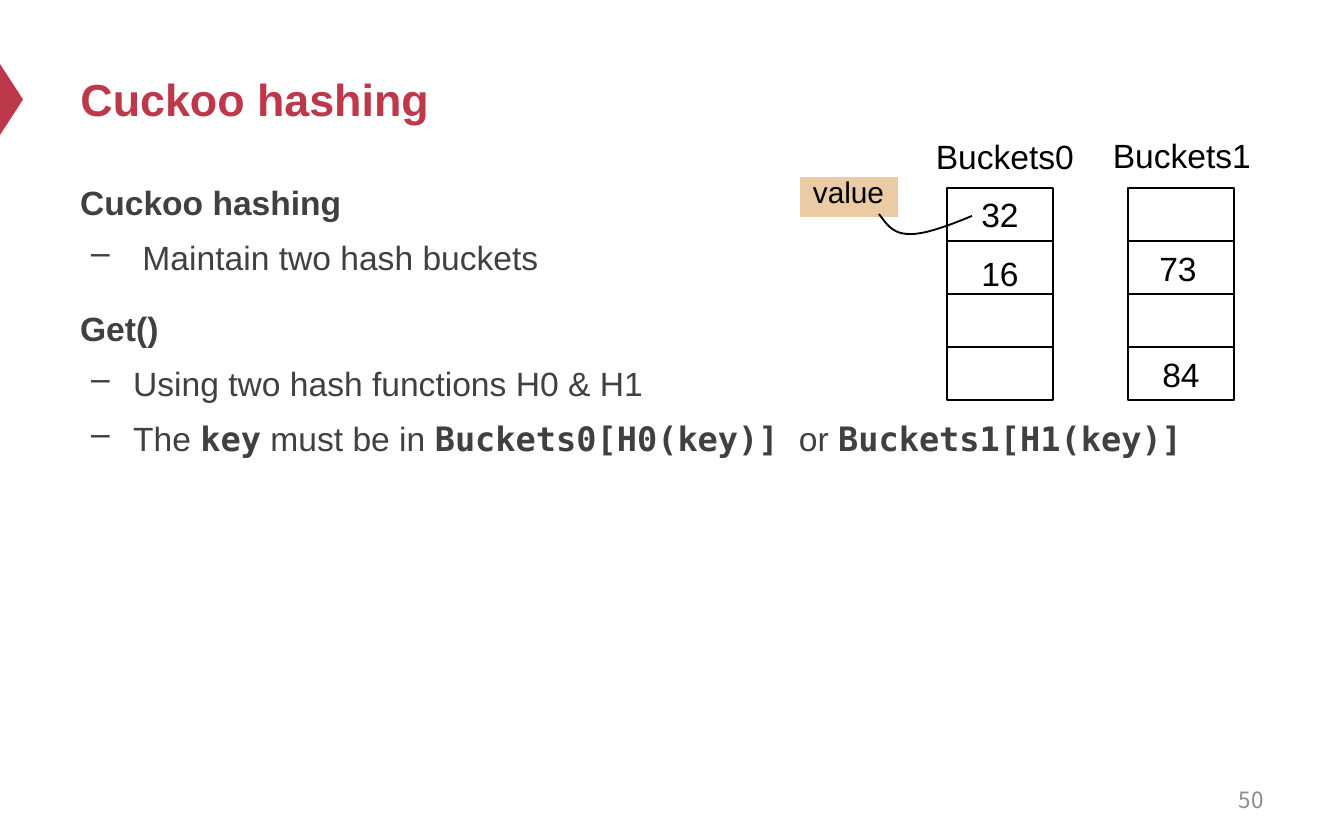
import pptx
import pptx.dml.color
import pptx.enum.shapes
import pptx.enum.text
import pptx.oxml
import pptx.oxml.ns
import pptx.util
from dataclasses import dataclass

Align = pptx.enum.text.PP_ALIGN
Anchor = pptx.enum.text.MSO_ANCHOR
Shape = pptx.enum.shapes.MSO_SHAPE


@dataclass(frozen=True)
class Theme:
    accent: str = "BE384B"
    body: str = "404040"
    ink: str = "000000"
    muted: str = "8C8C8C"
    tag: str = "EACBA3"
    paper: str = "FFFFFF"
    sans: str = "Arial"
    mono: str = "DejaVu Sans Mono"
    number_font: str = "Noto Sans CJK SC"
    title_size: int = 24
    text_size: int = 18
    tag_size: int = 16
    number_size: int = 12


THEME = Theme()
EMU_PER_PX = 914400 / 134.4

# Bucket grid: cell size, top edge and left edge of each column
CELL_WIDTH, CELL_HEIGHT, GRID_TOP = 106, 53, 188
COLUMNS = (947, 1128)
ROWS = 4

# Stored numbers: column, row, text, offset of the label from its cell
ENTRIES = [
    (0, 0, "32", 21, -1),
    (0, 1, "16", 21, 5),
    (1, 1, "73", 18, 0),
    (1, 3, "84", 21, 0),
]

# Body: is a bullet, then the text pieces with True for code
BODY = [
    (False, [("Cuckoo hashing", False)]),
    (True, [(" Maintain two hash buckets", False)]),
    (False, [("Get()", False)]),
    (True, [("Using two hash functions H0 & H1", False)]),
    (True, [("The ", False), ("key", True), (" must be in ", False),
            ("Buckets0[H0(key)] ", True), ("or ", False),
            ("Buckets1[H1(key)]", True)]),
]


def px(value):
    return pptx.util.Emu(round(value * EMU_PER_PX))


def color(value):
    return pptx.dml.color.RGBColor.from_string(value)


def add_span(para, text, size=THEME.text_size, font=THEME.sans,
             ink=THEME.ink, bold=False):
    span = para.add_run()
    span.text = text
    span.font.size = pptx.util.Pt(size)
    span.font.name = font
    span.font.bold = bold
    span.font.color.rgb = color(ink)


def add_label(page, text, left, top, width, height, align=Align.CENTER,
              anchor=Anchor.TOP, **style):
    box = page.shapes.add_textbox(px(left), px(top), px(width), px(height))
    frame = box.text_frame
    frame.word_wrap = False
    frame.vertical_anchor = anchor
    para = frame.paragraphs[0]
    para.alignment = align
    add_span(para, text, **style)


def paint(shape, fill=None, line=None, weight=1):
    shape.shadow.inherit = False
    if fill:
        shape.fill.solid()
        shape.fill.fore_color.rgb = color(fill)
    else:
        shape.fill.background()
    if line:
        shape.line.color.rgb = color(line)
        shape.line.width = pptx.util.Pt(weight)
    else:
        shape.line.fill.background()


def add_block(page, kind, left, top, width, height, **style):
    block = page.shapes.add_shape(kind, px(left), px(top), px(width), px(height))
    paint(block, **style)
    return block


def add_curve(page, start, segments, steps=16):
    points = []
    origin = start
    for segment in segments:
        knots = (origin, *segment)
        for step in range(1, steps + 1):
            t = step / steps
            weights = ((1 - t) ** 3, 3 * t * (1 - t) ** 2, 3 * t * t * (1 - t), t ** 3)
            points.append(tuple(
                px(sum(w * knot[axis] for w, knot in zip(weights, knots)))
                for axis in (0, 1)))
        origin = segment[-1]
    builder = page.shapes.build_freeform(px(start[0]), px(start[1]))
    builder.add_line_segments(points, close=False)
    paint(builder.convert_to_shape(), line=THEME.ink)


def set_bullet(para):
    properties = para._p.get_or_add_pPr()
    properties.set("marL", str(px(53)))
    properties.set("indent", str(px(-42)))
    bullet = pptx.oxml.parse_xml(
        f'<a:buChar {pptx.oxml.ns.nsdecls("a")} char="–"/>')
    properties.append(bullet)


def add_title(page):
    title = page.shapes.title
    title.left, title.top, title.width, title.height = px(67), px(33), px(1210), px(132)
    title.text_frame.vertical_anchor = Anchor.MIDDLE
    para = title.text_frame.paragraphs[0]
    para.alignment = Align.LEFT
    add_span(para, "Cuckoo hashing", size=THEME.title_size,
             ink=THEME.accent, bold=True)


def add_body(page):
    box = page.shapes.add_textbox(px(67), px(167), px(1210), px(554))
    frame = box.text_frame
    frame.word_wrap = True
    for index, (is_bullet, pieces) in enumerate(BODY):
        para = frame.add_paragraph() if index else frame.paragraphs[0]
        para.line_spacing = 1.2
        if index:
            para.space_before = pptx.util.Pt(3.6 if is_bullet else 12)
        if is_bullet:
            set_bullet(para)
        for text, is_code in pieces:
            add_span(para, text, font=THEME.mono if is_code else THEME.sans,
                     ink=THEME.body, bold=is_code or not is_bullet)


def add_buckets(page):
    for left in COLUMNS:
        for row in range(ROWS):
            add_block(page, Shape.RECTANGLE, left, GRID_TOP + row * CELL_HEIGHT,
                      CELL_WIDTH, CELL_HEIGHT, line=THEME.ink)
    for column, row, text, shift, drop in ENTRIES:
        add_label(page, text, COLUMNS[column] + shift,
                  GRID_TOP + row * CELL_HEIGHT + drop, 64, 54)
    add_label(page, "Buckets0", 917, 129, 176, 54)
    add_label(page, "Buckets1", 1094, 128, 176, 54)


def add_value_tag(page):
    add_block(page, Shape.RECTANGLE, 798, 175, 102, 44,
              fill=THEME.tag, line=THEME.paper, weight=2)
    add_label(page, "value", 799, 167, 99, 50, size=THEME.tag_size)
    add_curve(page, (972, 216), [((948, 226), (923, 235), (909, 234)),
                                 ((892, 234), (886, 223), (879, 214))])


def main():
    deck = pptx.Presentation()
    deck.slide_width, deck.slide_height = px(1344), px(840)
    page = deck.slides.add_slide(deck.slide_layouts[5])

    # Edge marker, title and text
    marker = add_block(page, Shape.ISOSCELES_TRIANGLE, -24, 88, 71, 23,
                       fill=THEME.accent)
    marker.rotation = 90
    add_title(page)
    add_body(page)

    # Hash bucket diagram
    add_buckets(page)
    add_value_tag(page)

    # Page number
    add_label(page, "50", 964, 778, 313, 44, align=Align.RIGHT,
              anchor=Anchor.MIDDLE, size=THEME.number_size,
              font=THEME.number_font, ink=THEME.muted)
    deck.save("out.pptx")


if __name__ == "__main__":
    main()
